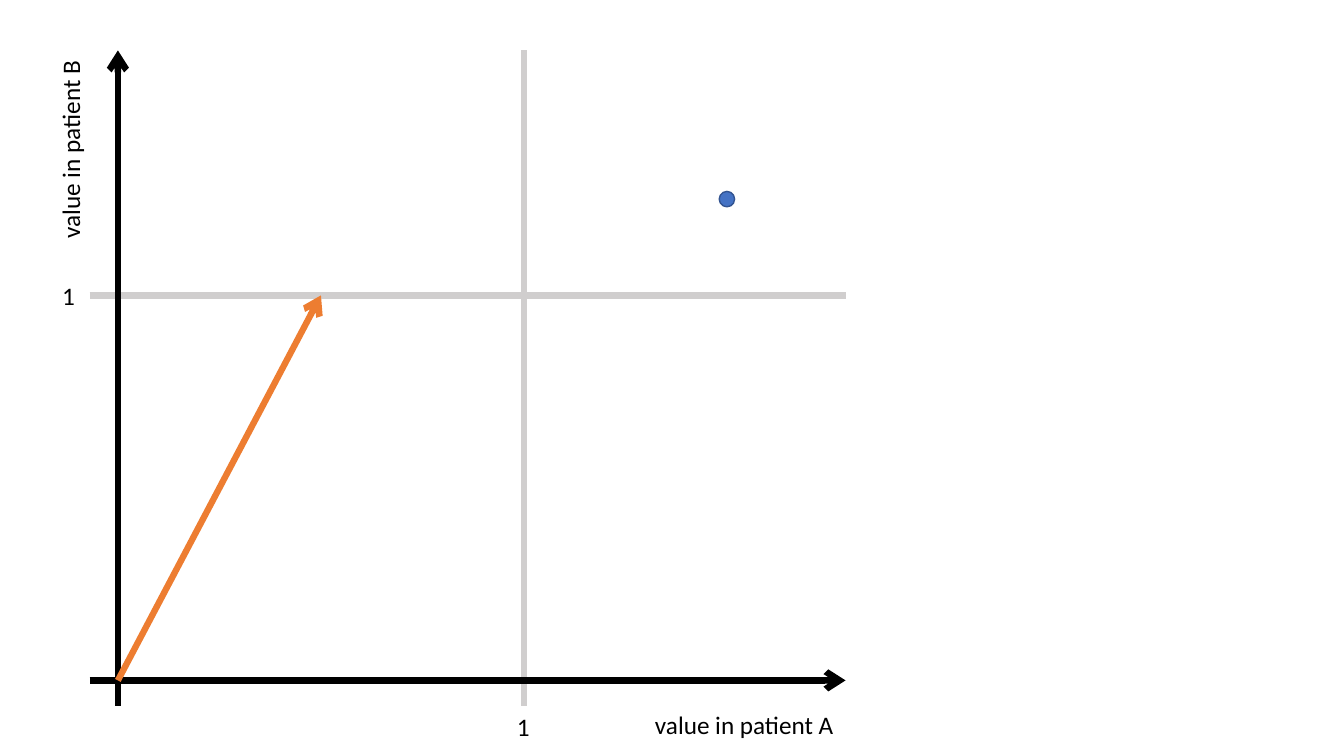
from lxml import etree
from pptx import Presentation
from pptx.dml.color import RGBColor
from pptx.enum import shapes, text
from pptx.oxml import ns
from pptx.util import Pt

THEME = {
    "font": "Calibri", "size": 18, "line": 4.5,
    "ink": "000000", "guide": "D0CECE", "vector": "ED7D31",
    "dot": "4472C4", "dot_edge": "325491",
}

# Plot frame in points; data values are in units of the guide lines
ORIGIN = (84.24, 486)
UNIT = (290, 275)
X_SPAN, Y_SPAN = (64, 604), (504, 36)
PATIENT_POINT = (1.5, 1.25)
VECTOR_TIP = (0.5, 1)
DOT_SIZE = 11

# text, centre x, centre y, width, rotation
LABELS = [
    ("1", 49.3, 211, 23.8, 0),
    ("1", 374, 519.1, 23.8, 0),
    ("value in patient A", 532.8, 517.7, 144, 0),
    ("value in patient B", 50, 105.8, 143.3, 270),
]
LABEL_HEIGHT = 28.8


def to_slide(value):
    """Turn a data point into slide points."""
    return ORIGIN[0] + value[0] * UNIT[0], ORIGIN[1] - value[1] * UNIT[1]


def color(name):
    return RGBColor.from_string(THEME[name])


def add_line(slide, start, end, hue, arrow=False):
    line = slide.shapes.add_connector(
        shapes.MSO_CONNECTOR.STRAIGHT, *map(Pt, start + end))
    line.line.color.rgb = color(hue)
    line.line.width = Pt(THEME["line"])
    if arrow:
        etree.SubElement(line.line._get_or_add_ln(), ns.qn("a:tailEnd"), type="arrow")
    etree.SubElement(line._element.spPr, ns.qn("a:effectLst"))


def add_label(slide, words, x, y, width, rotation=0, hue="ink"):
    """Add a one-line label centred on (x, y)."""
    label = slide.shapes.add_textbox(
        Pt(x - width / 2), Pt(y - LABEL_HEIGHT / 2), Pt(width), Pt(LABEL_HEIGHT))
    label.rotation = rotation
    frame = label.text_frame
    frame.word_wrap = False
    frame.auto_size = text.MSO_AUTO_SIZE.SHAPE_TO_FIT_TEXT
    frame.text = words
    font = frame.paragraphs[0].font
    font.name, font.size = THEME["font"], Pt(THEME["size"])
    font.color.rgb = color(hue)


def add_dot(slide, value):
    x, y = to_slide(value)
    dot = slide.shapes.add_shape(
        shapes.MSO_SHAPE.OVAL, Pt(x - DOT_SIZE / 2), Pt(y - DOT_SIZE / 2),
        Pt(DOT_SIZE), Pt(DOT_SIZE))
    dot.shadow.inherit = False
    dot.fill.solid()
    dot.fill.fore_color.rgb = color("dot")
    dot.line.color.rgb = color("dot_edge")
    dot.line.width = Pt(1)


def main():
    deck = Presentation()
    deck.slide_width, deck.slide_height = Pt(960), Pt(540)
    slide = deck.slides.add_slide(deck.slide_layouts[6])

    guide_x, guide_y = to_slide((1, 1))
    for y, x, hue, arrows in [
        (guide_y, ORIGIN[0], ("guide", "ink"), (False, True)),
        (ORIGIN[1], guide_x, ("ink", "guide"), (True, False)),
    ]:
        if hue[0] == "ink":
            add_line(slide, (x, Y_SPAN[0]), (x, Y_SPAN[1]), hue[1], arrows[1])
            add_line(slide, (X_SPAN[0], y), (X_SPAN[1], y), hue[0], arrows[0])
        else:
            add_line(slide, (X_SPAN[0], y), (X_SPAN[1], y), hue[0], arrows[0])
            add_line(slide, (x, Y_SPAN[0]), (x, Y_SPAN[1]), hue[1], arrows[1])

    for words, x, y, width, rotation in LABELS:
        add_label(slide, words, x, y, width, rotation=rotation)
    add_dot(slide, PATIENT_POINT)
    add_line(slide, ORIGIN, to_slide(VECTOR_TIP), "vector", arrow=True)
    deck.save("out.pptx")


if __name__ == "__main__":
    main()
